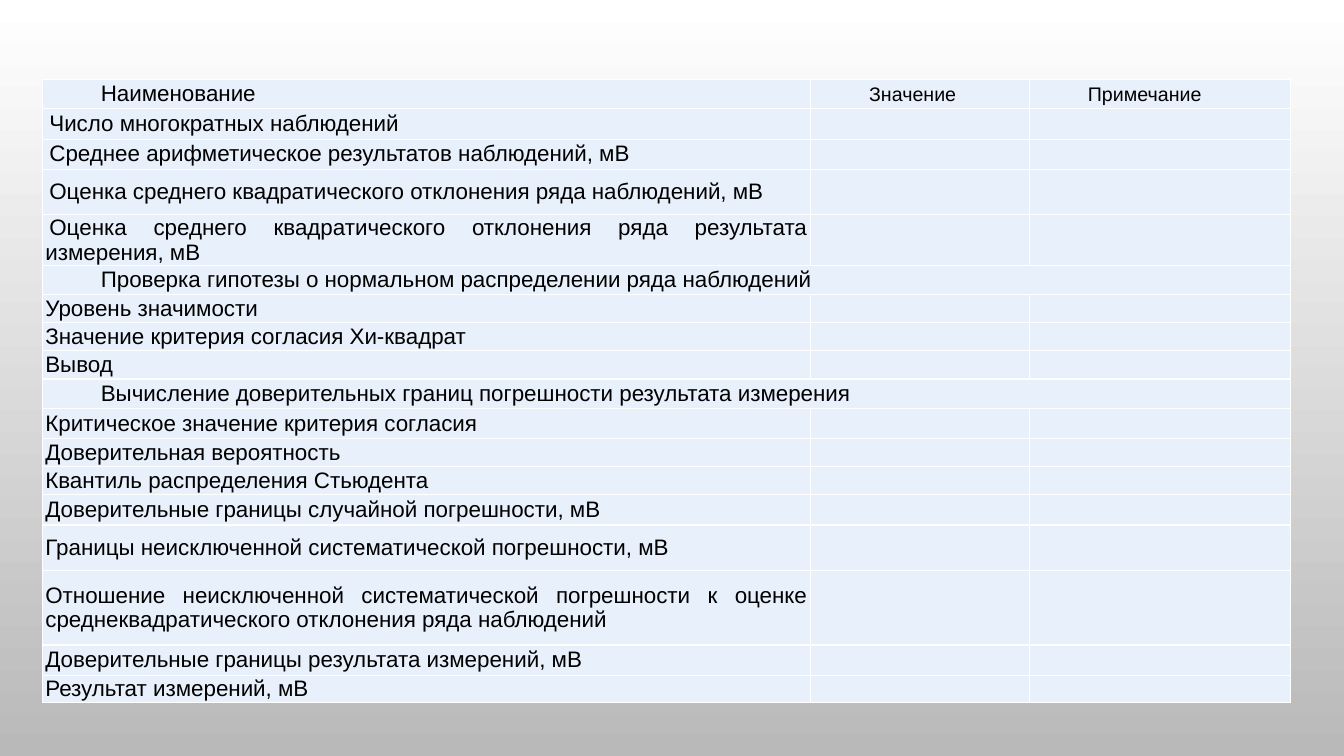
"""Build a slide with a table for reporting measurement results."""
from dataclasses import dataclass

from lxml import etree
from pptx import Presentation
from pptx.dml.color import RGBColor
from pptx.enum import text
from pptx.oxml import ns
from pptx.util import Inches, Pt


@dataclass(frozen=True)
class Theme:
    font: str = "Arial"
    ink: str = "000000"
    cell: str = "E8F0FC"
    border: str = "FFFFFF"
    top: str = "FFFFFF"
    bottom: str = "B9B9B9"
    body: int = 16
    small: int = 14
    border_width: int = 1


THEME = Theme()
HEADING_INDENT = 0.55
NUDGE = 0.04
COLUMN_WIDTHS = (7.62, 2.17, 2.59)
HEADER = ("Наименование", "Значение", "Примечание")
HEADER_HEIGHT = 0.29
SECTION_ROWS = (5, 9)
ROWS = [
    ("Число многократных наблюдений", 0.3, NUDGE),
    ("Среднее арифметическое результатов наблюдений, мВ", 0.3, NUDGE),
    ("Оценка среднего квадратического отклонения ряда наблюдений, мВ", 0.45, NUDGE),
    ("Оценка среднего квадратического отклонения ряда результата измерения, мВ", 0.5, NUDGE),
    ("Проверка гипотезы о нормальном распределении ряда наблюдений", 0.29, HEADING_INDENT),
    ("Уровень значимости", 0.28, 0),
    ("Значение критерия согласия Хи-квадрат", 0.28, 0),
    ("Вывод", 0.28, 0),
    ("Вычисление доверительных границ погрешности результата измерения", 0.29, HEADING_INDENT),
    ("Критическое значение критерия согласия", 0.3, 0),
    ("Доверительная вероятность", 0.28, 0),
    ("Квантиль распределения Стьюдента", 0.28, 0),
    ("Доверительные границы случайной погрешности, мВ", 0.3, 0),
    ("Границы неисключенной систематической погрешности, мВ", 0.45, 0),
    ("Отношение неисключенной систематической погрешности к оценке "
     "среднеквадратического отклонения ряда наблюдений", 0.74, 0),
    ("Доверительные границы результата измерений, мВ", 0.3, 0),
    ("Результат измерений, мВ", 0.27, 0),
]


def paint_background(page):
    fill = page.background.fill
    fill.gradient()
    fill.gradient_angle = 270
    for stop, color in zip(fill.gradient_stops, (THEME.top, THEME.bottom)):
        stop.color.rgb = RGBColor.from_string(color)


def add_borders(cell):
    properties = cell._tc.get_or_add_tcPr()
    for index, side in enumerate(("lnL", "lnR", "lnT", "lnB")):
        line = etree.Element(ns.qn(f"a:{side}"), w=str(Pt(THEME.border_width)))
        solid = etree.SubElement(line, ns.qn("a:solidFill"))
        etree.SubElement(solid, ns.qn("a:srgbClr"), val=THEME.border)
        properties.insert(index, line)


def style_cell(cell):
    cell.fill.solid()
    cell.fill.fore_color.rgb = RGBColor.from_string(THEME.cell)
    cell.vertical_anchor = text.MSO_ANCHOR.MIDDLE
    cell.margin_left = cell.margin_right = Inches(0.03)
    cell.margin_top = cell.margin_bottom = 0
    add_borders(cell)
    para = cell.text_frame.paragraphs[0]
    etree.SubElement(para._p, ns.qn("a:endParaRPr"), sz=str(THEME.small * 100))


def write_cell(cell, words, size, indent):
    para = cell.text_frame.paragraphs[0]
    para.alignment = text.PP_ALIGN.JUSTIFY
    properties = para._p.get_or_add_pPr()
    properties.set("marL", "0")
    properties.set("indent", str(Inches(indent)))
    span = para.add_run()
    span.text = words
    span.font.name = THEME.font
    span.font.size = Pt(size)
    span.font.bold = False
    span.font.color.rgb = RGBColor.from_string(THEME.ink)


def add_results_table(page):
    heights = [HEADER_HEIGHT] + [height for _, height, _ in ROWS]
    frame = page.shapes.add_table(
        len(heights), len(COLUMN_WIDTHS), Inches(0.42), Inches(0.79),
        Inches(sum(COLUMN_WIDTHS)), Inches(sum(heights)))
    table = frame.table
    table.first_row = table.horz_banding = False
    for column, width in zip(table.columns, COLUMN_WIDTHS):
        column.width = Inches(width)
    for row, height in zip(table.rows, heights):
        row.height = Inches(height)
    for cell in table.iter_cells():
        style_cell(cell)
    for index, words in enumerate(HEADER):
        size = THEME.small if index else THEME.body
        write_cell(table.cell(0, index), words, size, HEADING_INDENT)
    for index, (words, _, indent) in enumerate(ROWS, start=1):
        write_cell(table.cell(index, 0), words, THEME.body, indent)
    for index in SECTION_ROWS:
        table.cell(index, 0).merge(table.cell(index, len(COLUMN_WIDTHS) - 1))


def main():
    deck = Presentation()
    deck.slide_width, deck.slide_height = Inches(13.33), Inches(7.5)
    page = deck.slides.add_slide(deck.slide_layouts.get_by_name("Blank"))
    paint_background(page)
    add_results_table(page)
    deck.save("out.pptx")


if __name__ == "__main__":
    main()
